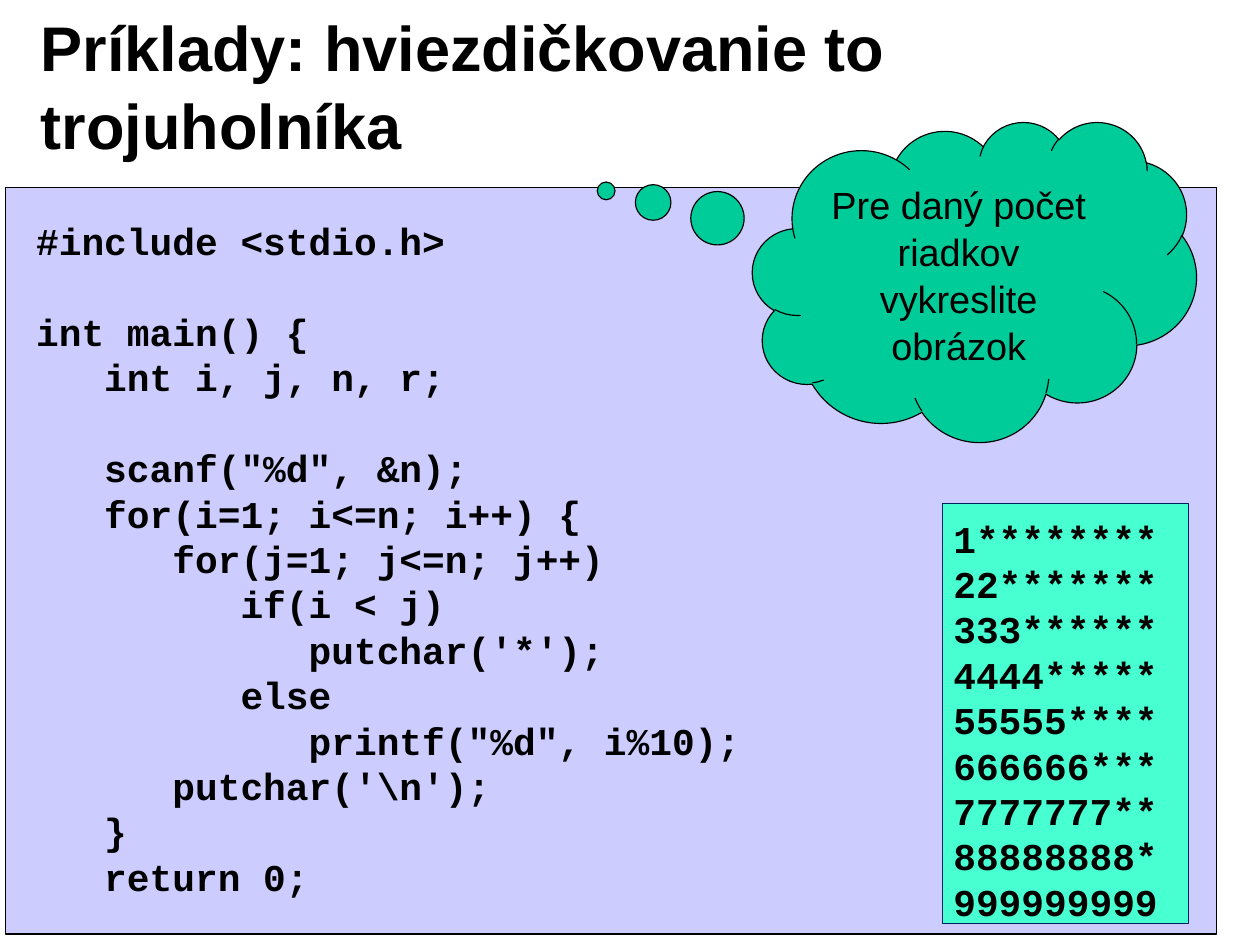
from pptx import Presentation
from pptx.dml.color import RGBColor
from pptx.enum.shapes import MSO_SHAPE as Shape
from pptx.enum.text import MSO_ANCHOR as Anchor, PP_ALIGN as Align
from pptx.util import Inches, Pt

COLORS = {"text": "000000", "navy": "002060", "panel": "CCCCFF",
          "mint": "47FFD1", "cloud": "00CC99"}
PITCH = Pt(28.8)
CODE = r"""#include <stdio.h>

int main() {
   int i, j, n, r;

   scanf("%d", &n);
   for(i=1; i<=n; i++) {
      for(j=1; j<=n; j++)
         if(i < j)
            putchar('*');
         else
            printf("%d", i%10);
      putchar('\n');
   }
   return 0;"""
ROWS = 9
TITLE = {"name": "Arial", "size": Pt(40), "bold": True}
MONO = {"name": "Courier New", "size": Pt(24), "bold": True}
PLAIN = {"name": "Arial", "size": Pt(24), "bold": False}


def color(key):
    return RGBColor.from_string(COLORS[key])


def style(item, values):
    for key, value in values.items():
        setattr(item, key, value)


def set_font(para, font):
    style(para.font, font)
    para.font.color.rgb = color("text")


def add_box(slide, kind, area, fill, line="text"):
    box = slide.shapes.add_shape(kind, *map(Inches, area))
    box.shadow.inherit = False
    box.fill.solid()
    box.fill.fore_color.rgb = color(fill)
    box.line.color.rgb = color(line)
    box.line.width = Pt(0.75)
    return box


def set_lines(box, lines):
    """Write monospaced lines; an empty line becomes space before the next."""
    frame = box.text_frame
    style(frame, {"word_wrap": True, "vertical_anchor": Anchor.TOP,
                  "margin_top": Inches(0.1), "margin_bottom": 0})
    para, gap = frame.paragraphs[0], 0
    for line in lines:
        if not line:
            gap += PITCH
            continue
        if para.text:
            para = frame.add_paragraph()
        para.text = line
        style(para, {"alignment": Align.LEFT, "line_spacing": PITCH,
                     "space_before": Pt(gap / Pt(1))})
        set_font(para, MONO)
        gap = 0


def set_text(box, text, font, align):
    frame = box.text_frame
    style(frame, {"word_wrap": True, "vertical_anchor": Anchor.MIDDLE})
    para = frame.paragraphs[0]
    para.text = text
    style(para, {"alignment": align, "line_spacing": 1.04})
    set_font(para, font)


def add_title(slide, text):
    title = slide.shapes.title
    style(title, {"left": Inches(0.25), "top": Inches(0.23),
                  "width": Inches(8.92), "height": Inches(1.02)})
    set_text(title, text, TITLE, Align.LEFT)
    style(title.text_frame, {"margin_left": Inches(0.11),
                             "margin_right": Inches(0.11)})


def add_cloud(slide, text):
    cloud = add_box(slide, Shape.CLOUD_CALLOUT, (6.63, 1.07, 3.91, 2.82), "cloud")
    cloud.adjustments[0] = -0.83
    cloud.adjustments[1] = -0.283
    set_text(cloud, text, PLAIN, Align.CENTER)


def main():
    deck = Presentation()
    style(deck, {"slide_width": Inches(11.1), "slide_height": Inches(8.3)})
    slide = deck.slides.add_slide(deck.slide_layouts[5])
    add_title(slide, "Príklady: hviezdičkovanie to trojuholníka")
    add_box(slide, Shape.RECTANGLE, (0.05, 1.65, 10.67, 6.58), "panel")
    code = slide.shapes.add_textbox(*map(Inches, (0.22, 1.82, 10.67, 6.1)))
    set_lines(code, CODE.split("\n"))
    stars = add_box(slide, Shape.RECTANGLE, (8.3, 4.44, 2.17, 3.7), "mint", "navy")
    set_lines(stars, [str(i) * i + "*" * (ROWS - i) for i in range(1, ROWS + 1)])
    add_cloud(slide, "Pre daný počet riadkov vykreslite obrázok")
    deck.save("out.pptx")


if __name__ == "__main__":
    main()
